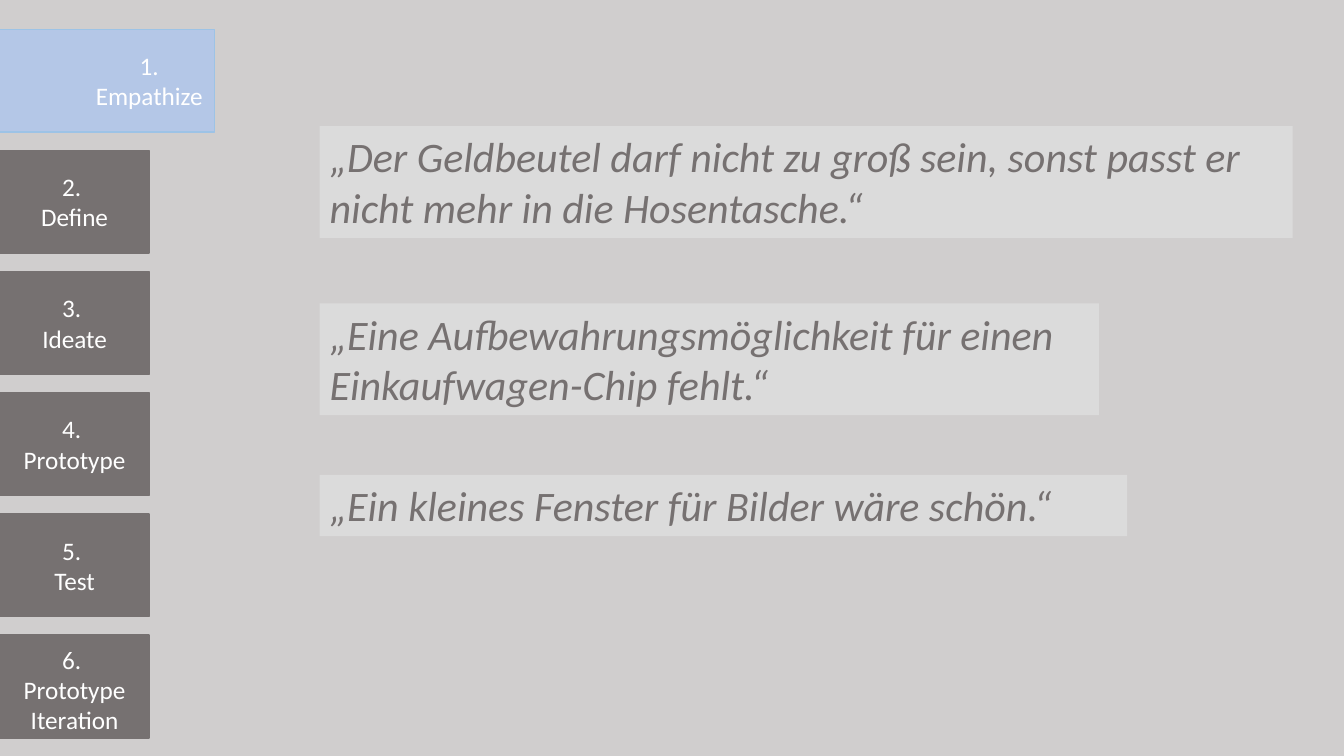
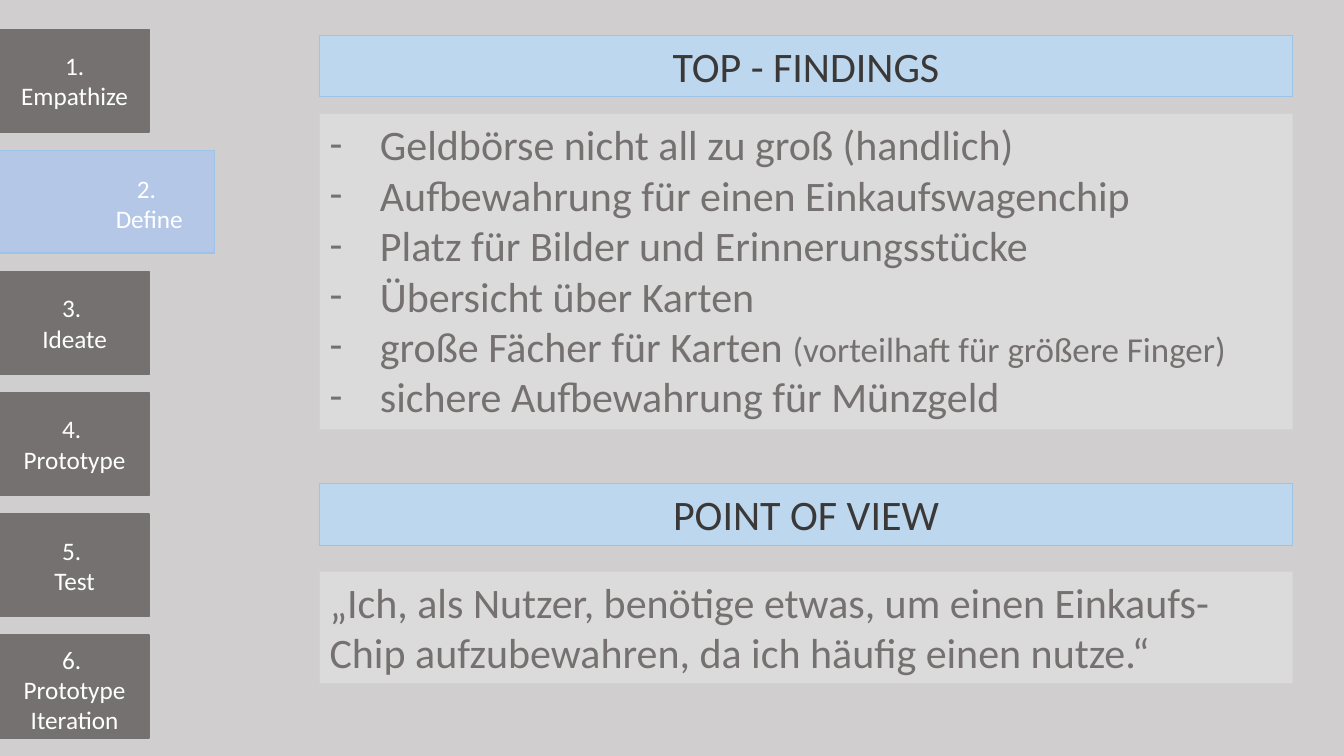
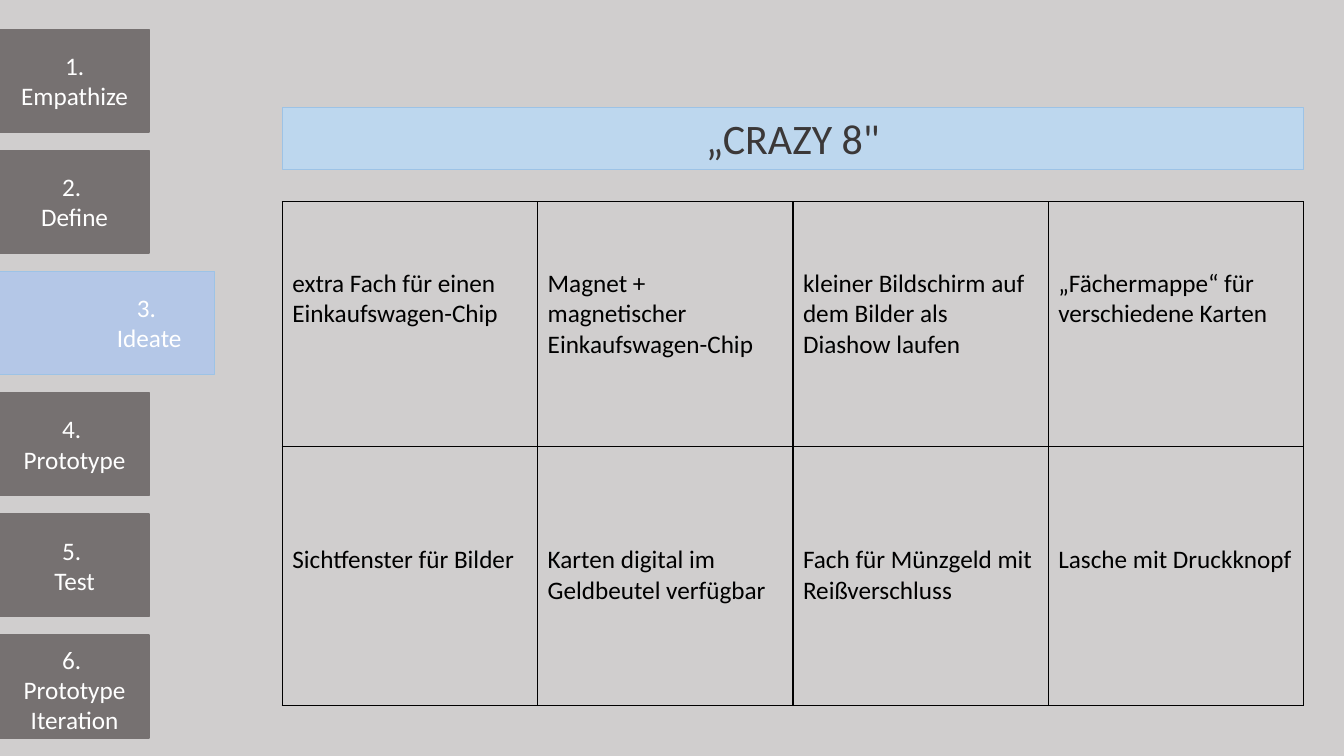
"""Build three design thinking slides: quotes, findings and ideas for a wallet."""
from dataclasses import dataclass

from lxml import etree
from pptx import Presentation
from pptx import util as u
from pptx.dml.color import RGBColor
from pptx.enum import shapes, text
from pptx.oxml.ns import qn


@dataclass(frozen=True)
class Theme:
    font: str = "Calibri"
    background: str = "D0CECE"
    grey: str = "767171"
    panel: str = "DBDBDB"
    active: str = "B4C7E7"
    header: str = "BDD7EE"
    outline: str = "9DC3E6"
    dark: str = "3B3838"
    white: str = "FFFFFF"
    black: str = "000000"
    small: int = 18
    note: int = 25
    large: int = 30


theme = Theme()


def add_rect(page, at, fill, line=None, line_width=1):
    """Add a plain rectangle."""
    rect = page.shapes.add_shape(shapes.MSO_SHAPE.RECTANGLE, *map(u.Inches, at))
    rect.shadow.inherit = False
    rect.fill.solid()
    rect.fill.fore_color.rgb = RGBColor.from_string(fill)
    if line:
        rect.line.color.rgb = RGBColor.from_string(line)
        rect.line.width = u.Pt(line_width)
    else:
        rect.line.fill.background()
    return rect


def write(frame, paragraphs, size, color, centred=False, italic=False, bullet=None):
    """Fill a text frame; each paragraph is a list of strings or (string, size) pairs."""
    frame.word_wrap = True
    frame.vertical_anchor = text.MSO_ANCHOR.TOP
    for index, runs in enumerate(paragraphs):
        para = frame.add_paragraph() if index else frame.paragraphs[0]
        para.alignment = text.PP_ALIGN.CENTER if centred else text.PP_ALIGN.LEFT
        if bullet:
            props = para._p.get_or_add_pPr()
            props.set("marL", str(u.Inches(0.5)))
            props.set("indent", str(u.Inches(-0.5)))
            etree.SubElement(props, qn("a:buFont")).set("typeface", theme.font)
            etree.SubElement(props, qn("a:buChar")).set("char", bullet)
        for run in runs:
            words, run_size = run if isinstance(run, tuple) else (run, size)
            span = para.add_run()
            span.text = words
            span.font.name = theme.font
            span.font.size = u.Pt(run_size)
            span.font.italic = italic
            span.font.color.rgb = RGBColor.from_string(color)


deck = Presentation()
deck.slide_width, deck.slide_height = u.Inches(13.33), u.Inches(7.5)

steps = [
    [["1. Empathize"]],
    [["2. "], ["Define"]],
    [["3. "], ["Ideate"]],
    [["4. "], ["Prototype"]],
    [["5. "], ["Test"]],
    [["6. "], ["Prototype Iteration"]],
]
first_tab, last_tab = 0.29, 6.3
tab_tops = [first_tab + (last_tab - first_tab) / 5 * row for row in range(len(steps))]
active_label_tops = [0.45, 1.67, 2.85]

pages = []
for current, active_label_top in enumerate(active_label_tops):
    page = deck.slides.add_slide(deck.slide_layouts[6])
    page.background.fill.solid()
    page.background.fill.fore_color.rgb = RGBColor.from_string(theme.background)
    for row, top in enumerate(tab_tops):
        if row == current:
            add_rect(page, (-0.01, top, 2.14, 1.02), theme.active, theme.outline)
        else:
            add_rect(page, (-0.66, top, 2.14, 1.02), theme.grey, theme.grey)
    for row, (top, label) in enumerate(zip(tab_tops, steps)):
        left, label_top, height = 0, top + 0.16, 0.71
        if row == current:
            left, label_top = 0.74, active_label_top
        elif row == len(steps) - 1:
            label_top, height = top + 0.04, 1.01
        box = page.shapes.add_textbox(*map(u.Inches, (left, label_top, 1.48, height)))
        write(box.text_frame, label, theme.small, theme.white, centred=True)
    pages.append(page)
empathize, define, ideate = pages

quotes = [
    (1.25, 9.65, 1.11, "„Der Geldbeutel darf nicht zu groß sein, sonst passt er nicht mehr in die Hosentasche.“"),
    (3.01, 7.73, 1.11, "„Eine Aufbewahrungsmöglichkeit für einen Einkaufwagen-Chip fehlt.“"),
    (4.71, 8.01, 0.61, "„Ein kleines Fenster für Bilder wäre schön.“"),
]
for top, width, height, quote in quotes:
    panel = add_rect(empathize, (3.17, top, width, height), theme.panel)
    write(panel.text_frame, [[quote]], theme.large, theme.grey, italic=True)

headers = [
    (define, 3.17, 0.35, 9.65, "TOP - FINDINGS"),
    (define, 3.17, 4.8, 9.65, "POINT OF VIEW"),
    (ideate, 2.8, 1.07, 10.13, "„CRAZY 8\""),
]
for page, left, top, width, title in headers:
    header = add_rect(page, (left, top, width, 0.61), theme.header, theme.outline, 0.75)
    write(header.text_frame, [[title]], theme.large, theme.dark, centred=True)

findings = [
    ["Geldbörse nicht all zu groß (handlich)"],
    ["Aufbewahrung für einen Einkaufswagenchip"],
    ["Platz für Bilder und Erinnerungsstücke"],
    ["Übersicht über Karten"],
    ["große Fächer für Karten ", ("(vorteilhaft für größere Finger)", theme.note)],
    ["sichere Aufbewahrung für Münzgeld"],
]
panel = add_rect(define, (3.17, 1.13, 9.65, 3.13), theme.panel)
write(panel.text_frame, findings, theme.large, theme.grey, bullet="-")

view = "„Ich, als Nutzer, benötige etwas, um einen Einkaufs-Chip aufzubewahren, da ich häufig einen nutze.“"
panel = add_rect(define, (3.17, 5.67, 9.65, 1.11), theme.panel)
write(panel.text_frame, [[view]], theme.large, theme.grey)

idea_rows = [
    (2.43, 0.66, [
        "extra Fach für einen Einkaufswagen-Chip",
        "Magnet + magnetischer Einkaufswagen-Chip",
        "kleiner Bildschirm auf dem Bilder als Diashow laufen",
        "„Fächermappe“ für verschiedene Karten",
    ]),
    (2.57, 0.97, [
        "Sichtfenster für Bilder",
        "Karten digital im Geldbeutel verfügbar",
        "Fach für Münzgeld mit Reißverschluss",
        "Lasche mit Druckknopf",
    ]),
]
table = ideate.shapes.add_table(2, 4, *map(u.Inches, (2.8, 2, 10.13, 5))).table
table.first_row = table.horz_banding = False
for row, (height, margin, ideas) in enumerate(idea_rows):
    table.rows[row].height = u.Inches(height)
    for column, idea in enumerate(ideas):
        cell = table.cell(row, column)
        cell.margin_top = u.Inches(margin)
        write(cell.text_frame, [[idea]], theme.small, theme.black)
        props = cell._tc.get_or_add_tcPr()
        for side in ("lnL", "lnR", "lnT", "lnB"):
            border = etree.SubElement(props, qn(f"a:{side}"), w=str(u.Pt(1)))
            fill = etree.SubElement(border, qn("a:solidFill"))
            etree.SubElement(fill, qn("a:srgbClr"), val=theme.black)
        cell.fill.background()

deck.save("out.pptx")
